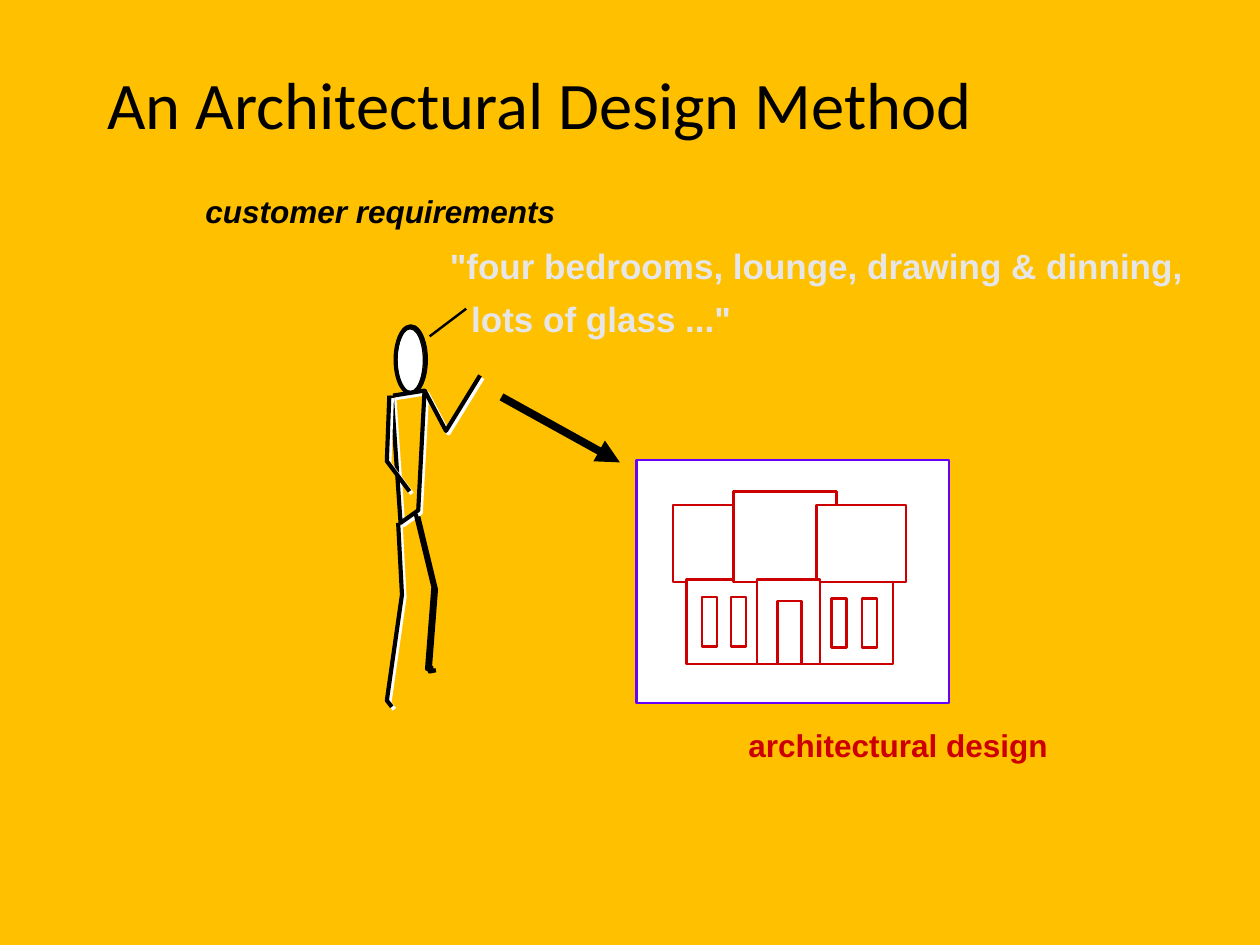
from dataclasses import dataclass

import pptx
import pptx.dml.color
import pptx.enum.shapes
import pptx.enum.text
import pptx.oxml
import pptx.oxml.ns
import pptx.util

# The slide is a grid of 100 columns by 75 rows
COLS, ROWS = 100, 75
WIDTH, HEIGHT = pptx.util.Inches(10), pptx.util.Inches(7.5)
SHAPE = pptx.enum.shapes.MSO_SHAPE


@dataclass(frozen=True)
class Theme:
    background: str = "FFC000"
    ink: str = "000000"
    paper: str = "FFFFFF"
    quote: str = "E7E6E6"
    frame: str = "6600FF"
    house: str = "CC0000"
    title_font: str = "Calibri"
    body_font: str = "Arial"
    title_size: float = 38
    quote_size: float = 20
    label_size: float = 18
    hairline: float = 0.75
    thin: float = 1.39
    limb: float = 2.38
    arrow: float = 4.5


@dataclass(frozen=True)
class Box:
    col: float
    row: float
    cols: float
    rows: float

    def emu(self) -> tuple:
        return x(self.col), y(self.row), x(self.cols), y(self.rows)


@dataclass(frozen=True)
class Label:
    text: str
    box: Box
    size: float
    color: str
    italic: bool = False


@dataclass(frozen=True)
class Limb:
    points: tuple
    under: str  # colour of the offset stroke behind the black one


T = Theme()


def x(col: float) -> int:
    return pptx.util.Emu(round(col * WIDTH / COLS))


def y(row: float) -> int:
    return pptx.util.Emu(round(row * HEIGHT / ROWS))


def rgb(color: str) -> pptx.dml.color.RGBColor:
    return pptx.dml.color.RGBColor.from_string(color)


def set_line(sp, color: str, width: float) -> None:
    sp.line.color.rgb = rgb(color)
    sp.line.width = pptx.util.Pt(width)


def write(tf, text: str, font: str, size: float, color: str):
    p = tf.paragraphs[0]
    p.alignment = pptx.enum.text.PP_ALIGN.LEFT
    p.line_spacing = 0.9
    r = p.add_run()
    r.text = text
    r.font.name = font
    r.font.size = pptx.util.Pt(size)
    r.font.color.rgb = rgb(color)
    return r


def add_title(slide, text: str, box: Box) -> None:
    sp = slide.shapes.title
    sp.left, sp.top, sp.width, sp.height = box.emu()
    tf = sp.text_frame
    tf.margin_left = tf.margin_right = pptx.util.Inches(0.07)
    tf.margin_top = tf.margin_bottom = pptx.util.Inches(0.03)
    tf.vertical_anchor = pptx.enum.text.MSO_ANCHOR.TOP
    write(tf, text, T.title_font, T.title_size, T.ink)


def add_label(slide, label: Label) -> None:
    tf = slide.shapes.add_textbox(*label.box.emu()).text_frame
    tf.margin_left = tf.margin_right = tf.margin_top = tf.margin_bottom = 0
    tf.word_wrap = False
    tf.auto_size = pptx.enum.text.MSO_AUTO_SIZE.SHAPE_TO_FIT_TEXT
    r = write(tf, label.text, T.body_font, label.size, label.color)
    r.font.bold = True
    r.font.italic = label.italic


def add_figure(slide, kind, box: Box, line: str, width: float, filled: bool = True) -> None:
    sp = slide.shapes.add_shape(kind, *box.emu())
    sp.shadow.inherit = False
    if filled:
        sp.fill.solid()
        sp.fill.fore_color.rgb = rgb(T.paper)
    else:
        sp.fill.background()
    set_line(sp, line, width)


def add_stroke(slide, points: tuple, color: str, shift: float = 0) -> None:
    start, *rest = [(x(c + shift), y(r + shift)) for c, r in points]
    builder = slide.shapes.build_freeform(*start)
    builder.add_line_segments(rest, close=False)
    sp = builder.convert_to_shape()
    sp.shadow.inherit = False
    sp.fill.background()
    set_line(sp, color, T.limb)


def add_line(slide, start: tuple, end: tuple, width: float, arrow: bool = False) -> None:
    sp = slide.shapes.add_connector(
        pptx.enum.shapes.MSO_CONNECTOR.STRAIGHT,
        x(start[0]), y(start[1]), x(end[0]), y(end[1]))
    set_line(sp, T.ink, width)
    if arrow:
        tail = pptx.oxml.parse_xml(
            f'<a:tailEnd {pptx.oxml.ns.nsdecls("a")} type="triangle"/>')
        sp.line._get_or_add_ln().append(tail)
    sp._element.spPr.append(
        pptx.oxml.parse_xml(f'<a:effectLst {pptx.oxml.ns.nsdecls("a")}/>'))


LABELS = (
    Label('"four bedrooms, lounge, drawing & dinning,', Box(35.7, 19.8, 59, 3), T.quote_size, T.quote),
    Label('lots of glass ..."', Box(37.4, 24, 20.7, 3), T.quote_size, T.quote),
    Label("customer requirements", Box(16.3, 15.6, 27.8, 2.7), T.label_size, T.ink, True),
    Label("architectural design", Box(59.4, 58, 23.8, 2.7), T.label_size, T.house),
)

LIMBS = (
    # Torso, raised arm, lowered arm
    Limb(((31.2, 31.4), (33.7, 31), (33.2, 40.5), (31.8, 41.5), (31.1, 31.4)), T.paper),
    Limb(((33.7, 31), (35.4, 34.2), (38.1, 29.8)), T.paper),
    Limb(((30.9, 31.4), (30.7, 36.6), (32.5, 39)), T.paper),
    # Back leg, front leg
    Limb(((33, 40.8), (34.4, 46.6), (33.9, 53.1), (34.4, 53)), T.ink),
    Limb(((31.6, 41.5), (31.9, 47.2), (30.7, 55.6), (31.1, 56.1)), T.paper),
)

HOUSE = (
    # Left roof, ground floor, middle roof, right roof, porch
    Box(53.4, 40.1, 5, 6.1),
    Box(54.5, 46, 16.4, 6.7),
    Box(58.2, 39, 8.2, 7.2),
    Box(64.8, 40.1, 7.1, 6.1),
    Box(60.1, 46, 5, 6.7),
    # Door and windows
    Box(61.7, 47.7, 1.9, 5),
    Box(55.7, 47.4, 1.2, 3.9),
    Box(58, 47.4, 1.2, 3.9),
    Box(66, 47.5, 1.2, 3.9),
    Box(68.4, 47.5, 1.2, 3.9),
)


def main() -> None:
    prs = pptx.Presentation()
    prs.slide_width, prs.slide_height = WIDTH, HEIGHT
    slide = prs.slides.add_slide(prs.slide_layouts.get_by_name("Title Only"))
    slide.background.fill.solid()
    slide.background.fill.fore_color.rgb = rgb(T.background)

    # Wording
    add_title(slide, "An Architectural Design Method", Box(7.8, 5.4, 74.8, 12))
    for label in LABELS:
        add_label(slide, label)

    # Customer: head, limbs and speech line
    add_figure(slide, SHAPE.OVAL, Box(31.5, 26.1, 2.1, 5), T.ink, T.hairline)
    add_figure(slide, SHAPE.OVAL, Box(31.4, 25.9, 2.4, 5.3), T.ink, T.limb, filled=False)
    for limb in LIMBS:
        add_stroke(slide, limb.points, limb.under, shift=0.2)
        add_stroke(slide, limb.points, T.ink)
    add_line(slide, (34.1, 26.7), (37, 24.5), T.thin)

    # Framed drawing of the house
    add_figure(slide, SHAPE.RECTANGLE, Box(50.5, 36.5, 24.8, 19.3), T.frame, T.thin)
    for part in HOUSE:
        add_figure(slide, SHAPE.RECTANGLE, part, T.house, T.thin)

    # From requirements to design
    add_line(slide, (39.8, 31.5), (49.2, 36.7), T.arrow, arrow=True)
    prs.save("out.pptx")


if __name__ == "__main__":
    main()
